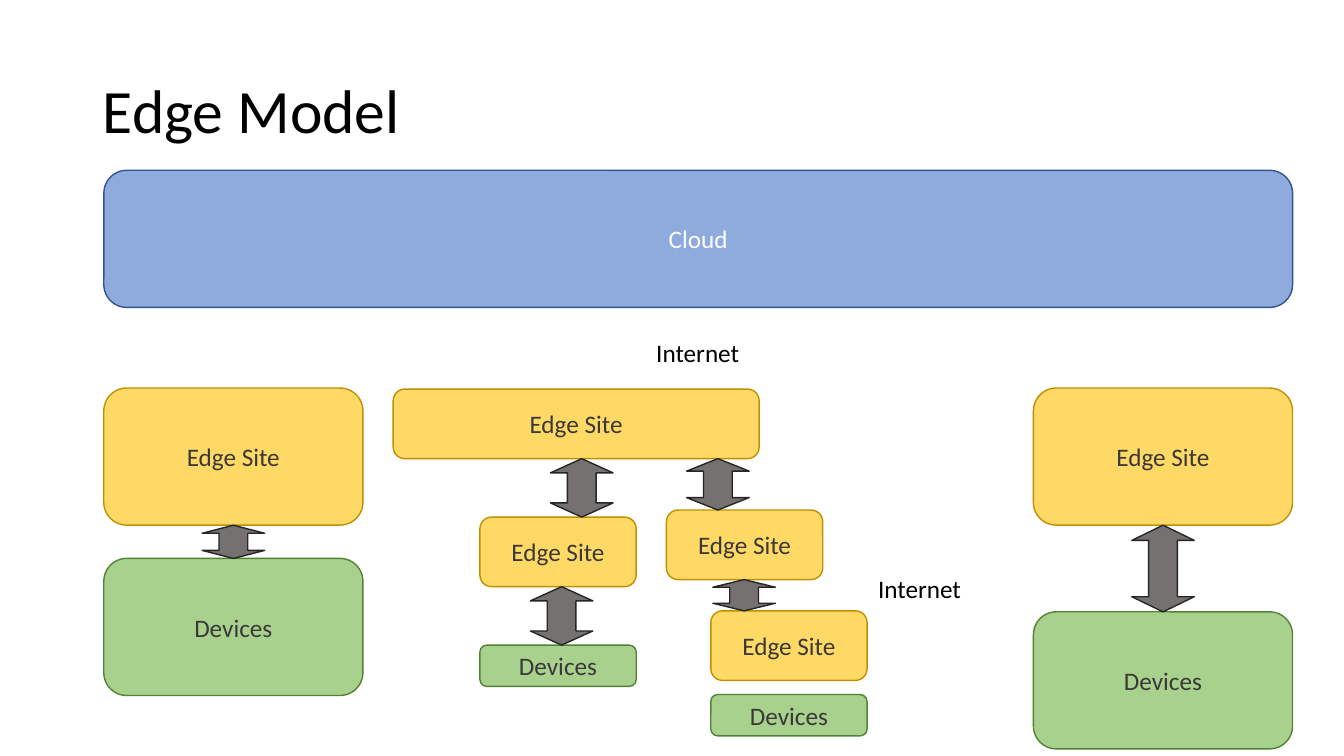
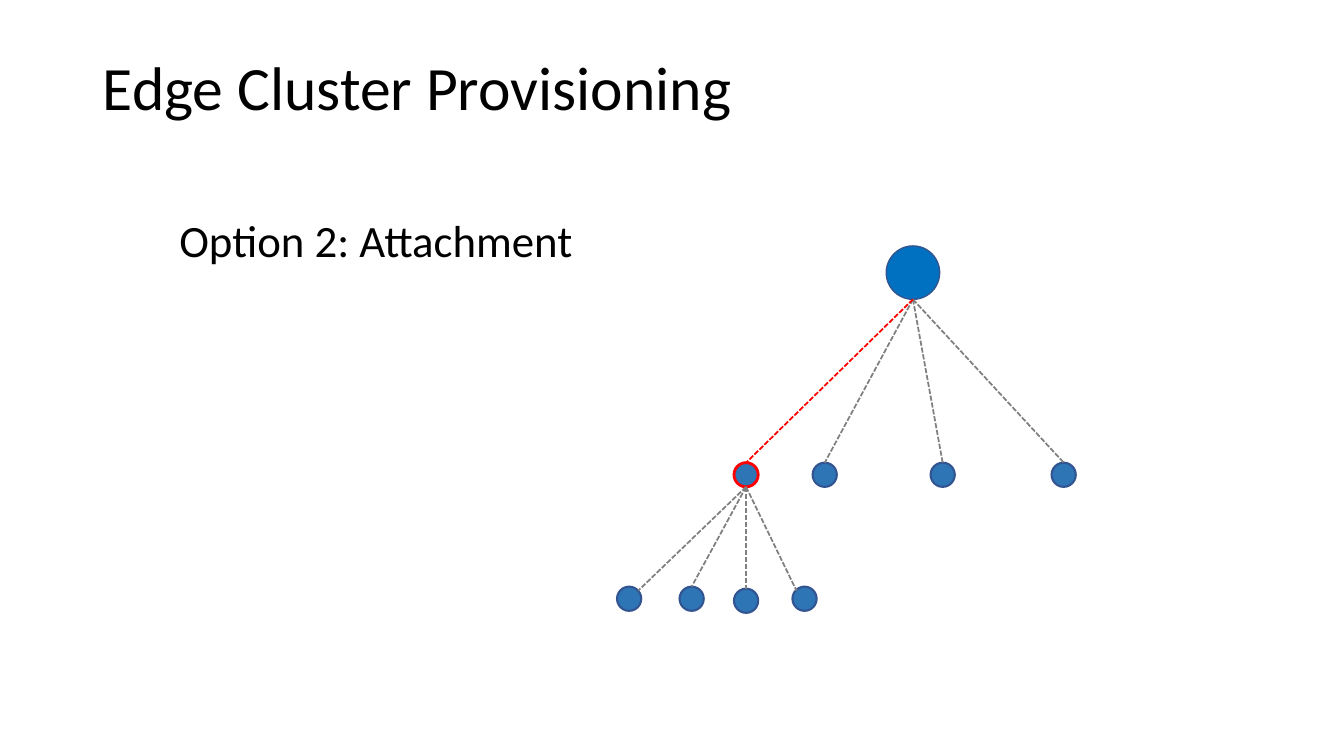
import pptx
import pptx.dml.color
import pptx.enum.dml
import pptx.enum.shapes
import pptx.enum.text
import pptx.oxml
import pptx.oxml.ns
import pptx.util

Inches = pptx.util.Inches
Pt = pptx.util.Pt
RGBColor = pptx.dml.color.RGBColor
SHAPE = pptx.enum.shapes.MSO_SHAPE
ALIGN = pptx.enum.text.PP_ALIGN
ANCHOR = pptx.enum.text.MSO_ANCHOR

# Shared style
FONT = "Calibri"
BLACK = RGBColor(0x00, 0x00, 0x00)
WHITE = RGBColor(0xFF, 0xFF, 0xFF)
DARK_TEXT = RGBColor(0x3B, 0x38, 0x38)
CLOUD_FILL = RGBColor(0x8F, 0xAA, 0xDC)
BLUE_LINE = RGBColor(0x32, 0x54, 0x91)
SITE_FILL = RGBColor(0xFF, 0xD9, 0x66)
SITE_LINE = RGBColor(0xBF, 0x90, 0x00)
DEVICE_FILL = RGBColor(0xA9, 0xD1, 0x8E)
DEVICE_LINE = RGBColor(0x54, 0x82, 0x35)
ARROW_FILL = RGBColor(0x76, 0x71, 0x71)
ARROW_LINE = RGBColor(0x26, 0x26, 0x26)
ROOT_FILL = RGBColor(0x00, 0x70, 0xC0)
NODE_FILL = RGBColor(0x2E, 0x75, 0xB6)
LINK_GRAY = RGBColor(0x80, 0x80, 0x80)
ATTACH_RED = RGBColor(0xFF, 0x00, 0x00)

# Box kinds: label, fill, line, text colour
CLOUD = ("Cloud", CLOUD_FILL, BLUE_LINE, WHITE)
SITE = ("Edge Site", SITE_FILL, SITE_LINE, DARK_TEXT)
DEVICES = ("Devices", DEVICE_FILL, DEVICE_LINE, DARK_TEXT)

ARROW_SPAN = 0.62
NODE = 0.24


def style_text(frame, text, size, color, align):
    frame.text = text
    paragraph = frame.paragraphs[0]
    paragraph.alignment = align
    paragraph.font.name = FONT
    paragraph.font.size = Pt(size)
    paragraph.font.color.rgb = color
    return paragraph


def add_titled_slide(deck, title, height):
    slide = deck.slides.add_slide(deck.slide_layouts[5])
    heading = slide.shapes.title
    heading.left, heading.top = Inches(0.92), Inches(0.4)
    heading.width, heading.height = Inches(11.5), Inches(height)
    heading.text_frame.vertical_anchor = ANCHOR.MIDDLE
    style_text(heading.text_frame, title, 44, BLACK, ALIGN.LEFT).line_spacing = 0.9
    return slide


def add_label(shapes, text, left, top, width, height, size):
    label = shapes.add_textbox(Inches(left), Inches(top), Inches(width), Inches(height))
    label.text_frame.word_wrap = False
    label.text_frame.auto_size = pptx.enum.text.MSO_AUTO_SIZE.SHAPE_TO_FIT_TEXT
    style_text(label.text_frame, text, size, BLACK, ALIGN.LEFT)


def add_figure(shapes, preset, left, top, width, height, fill, line, weight):
    figure = shapes.add_shape(preset, Inches(left), Inches(top), Inches(width), Inches(height))
    figure.shadow.inherit = False
    figure.fill.solid()
    figure.fill.fore_color.rgb = fill
    figure.line.color.rgb = line
    figure.line.width = Pt(weight)
    return figure


# Edge model parts
def add_box(shapes, kind, left, top, width, height):
    text, fill, line, color = kind
    box = add_figure(shapes, SHAPE.ROUNDED_RECTANGLE, left, top, width, height, fill, line, 1)
    box.text_frame.vertical_anchor = ANCHOR.MIDDLE
    style_text(box.text_frame, text, 18, color, ALIGN.CENTER)


def add_exchange_arrow(shapes, center, top, bottom):
    """Vertical double arrow, filling the gap between two boxes."""
    length = bottom - top
    arrow = add_figure(shapes, SHAPE.LEFT_RIGHT_ARROW, center - length / 2,
                       (top + bottom - ARROW_SPAN) / 2, length, ARROW_SPAN,
                       ARROW_FILL, ARROW_LINE, 1)
    arrow.rotation = 270
    arrow.adjustments[0] = 0.46
    arrow.adjustments[1] = 0.243


def site_with_devices(shapes, left, top, gap):
    width, height = 2.57, 1.36
    devices_top = top + height + gap
    add_box(shapes, SITE, left, top, width, height)
    add_box(shapes, DEVICES, left, devices_top, width, height)
    add_exchange_arrow(shapes, left + width / 2, top + height, devices_top)


def site_hierarchy(shapes, left, top):
    site_height, child_width, device_height = 0.69, 1.55, 0.41
    # Boxes: kind, x, y, width, height within the region
    for kind, x, y, width, height in (
        (SITE, 0, 0, 3.63, site_height),
        (SITE, 0.86, 1.27, child_width, site_height),
        (DEVICES, 0.86, 2.54, child_width, device_height),
        (SITE, 2.71, 1.2, child_width, site_height),
        (SITE, 3.15, 2.2, child_width, site_height),
        (DEVICES, 3.15, 3.03, child_width, device_height),
    ):
        add_box(shapes, kind, left + x, top + y, width, height)
    # Arrows: centre, top of the upper site, top of the lower box
    for center, upper, lower in ((1.87, 0, 1.27), (3.22, 0, 1.2),
                                 (1.67, 1.27, 2.54), (3.48, 1.2, 2.2)):
        add_exchange_arrow(shapes, left + center, top + upper + site_height, top + lower)


def edge_model_slide(deck):
    slide = add_titled_slide(deck, "Edge Model", 1.45)
    shapes = slide.shapes
    add_box(shapes, CLOUD, 1.03, 1.69, 11.79, 1.36)
    site_with_devices(shapes, 1.03, 3.85, 0.33)
    site_hierarchy(shapes, 3.9, 3.86)
    site_with_devices(shapes, 10.25, 3.85, 0.86)
    for left, top in ((6.41, 3.3), (8.61, 5.64)):
        add_label(shapes, "Internet", left, top, 1.12, 0.4, 18)


# Cluster parts
def add_node(shapes, left, top, line=BLUE_LINE, weight=1.5):
    return add_figure(shapes, SHAPE.OVAL, left, top, NODE, NODE, NODE_FILL, line, weight)


def add_link(shapes, start, end, color=LINK_GRAY, child=None):
    link = shapes.add_connector(pptx.enum.shapes.MSO_CONNECTOR.STRAIGHT,
                                *(Inches(value) for value in start + end))
    link.line.color.rgb = color
    link.line.width = Pt(1.25)
    link.line.dash_style = pptx.enum.dml.MSO_LINE.SQUARE_DOT
    properties = link._element.spPr
    properties.append(pptx.oxml.parse_xml(
        "<a:effectLst %s/>" % pptx.oxml.ns.nsdecls("a")))
    if child is not None:
        link.end_connect(child, 0)


def attached_cluster(shapes, left, top):
    """Highlighted head at the given place, with four members below."""
    head = add_node(shapes, left, top, ATTACH_RED, 2)
    start = (left + NODE / 2, top + NODE)
    # Members: node offset, then where its link lands on the node
    for x, y, land_x, land_y in ((-1.16, 1.23, 0.21, 0.04), (-0.54, 1.23, 0.12, 0),
                                 (0, 1.25, 0.12, 0), (0.58, 1.23, 0.04, 0.04)):
        member = add_node(shapes, left + x, top + y)
        add_link(shapes, start, (left + x + land_x, top + y + land_y),
                 child=None if land_y else member)
    return head


def provisioning_tree(shapes, left, top):
    root_size, level = 0.53, 2.15
    add_figure(shapes, SHAPE.OVAL, left, top, root_size, root_size, ROOT_FILL, BLUE_LINE, 1)
    start = (left + root_size / 2, top + root_size)
    for x in (-0.73, 0.44, 1.64):
        node = add_node(shapes, left + x, top + level)
        add_link(shapes, start, (left + x + NODE / 2, top + level), child=node)
    head_left = left - 1.51
    add_link(shapes, start, (head_left + NODE / 2, top + level), ATTACH_RED)
    attached_cluster(shapes.add_group_shape().shapes, head_left, top + level)


def provisioning_slide(deck):
    slide = add_titled_slide(deck, "Edge Cluster Provisioning", 0.99)
    add_label(slide.shapes, "Option 2: Attachment", 1.68, 2.06, 4.16, 0.64, 32)
    provisioning_tree(slide.shapes, 8.79, 2.44)


def main():
    deck = pptx.Presentation()
    deck.slide_width, deck.slide_height = Inches(13.33), Inches(7.5)
    edge_model_slide(deck)
    provisioning_slide(deck)
    deck.save("out.pptx")


if __name__ == "__main__":
    main()
